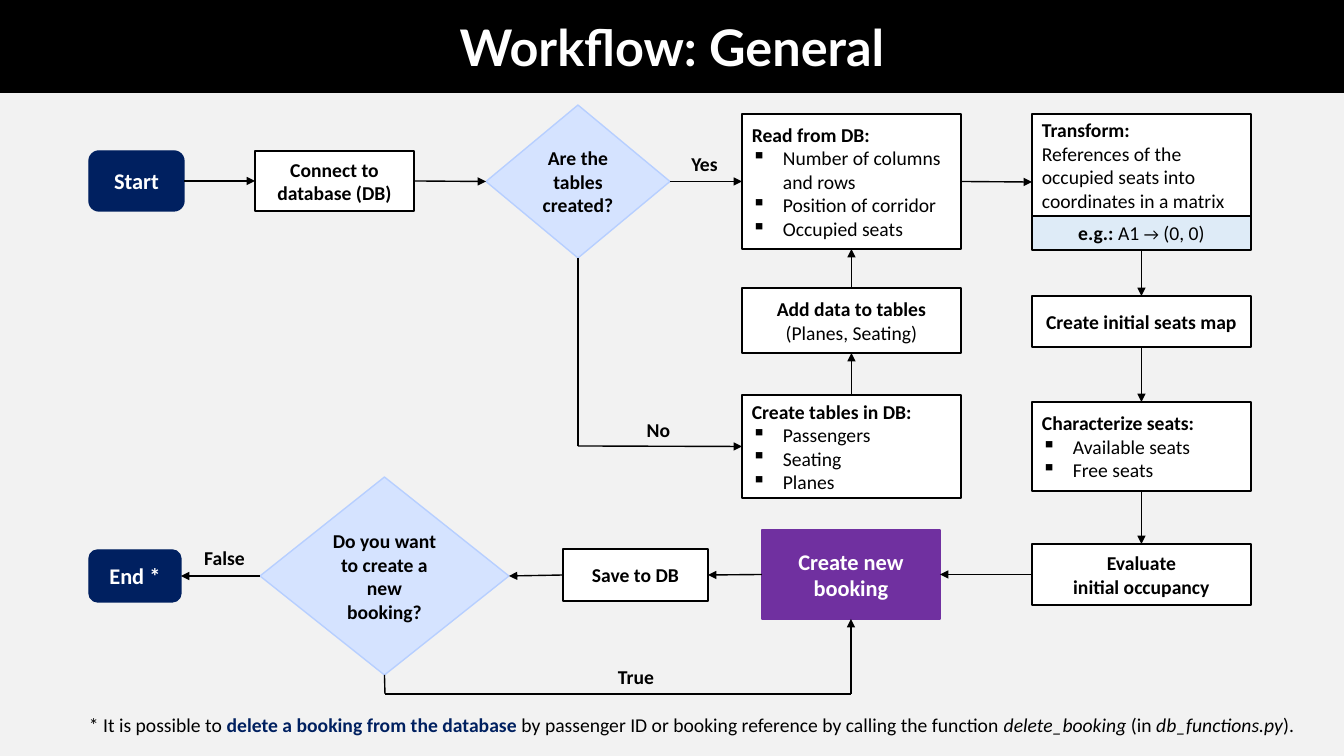
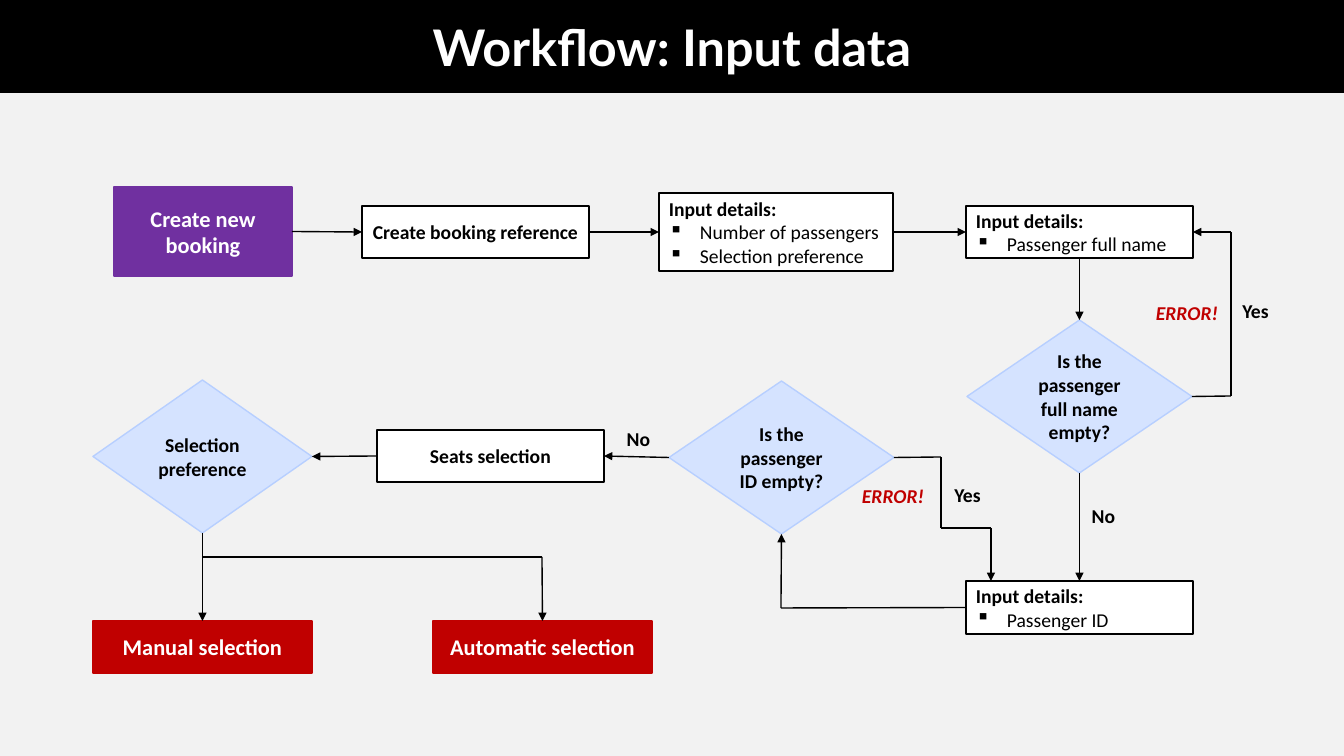
from lxml.etree import SubElement
from pptx import Presentation
from pptx.dml.color import RGBColor
from pptx.enum.shapes import MSO_CONNECTOR, MSO_SHAPE
from pptx.enum.text import MSO_ANCHOR, MSO_AUTO_SIZE, PP_ALIGN
from pptx.oxml.ns import qn
from pptx.util import Emu, Pt

WIDTH, HEIGHT = 1344, 756
SCALE = 12192000 / WIDTH
TITLE_HEIGHT = 93
BULLET_INDENT = 31

BACKGROUND, BLACK, WHITE = "F2F2F2", "000000", "FFFFFF"
NAVY, PURPLE, RED = "002060", "7030A0", "C00000"

RECT, ROUND, DIAMOND = MSO_SHAPE.RECTANGLE, MSO_SHAPE.ROUNDED_RECTANGLE, MSO_SHAPE.DIAMOND
LEFT, CENTER = PP_ALIGN.LEFT, PP_ALIGN.CENTER
LARGE = dict(size=16, color=WHITE)

STYLES = {
    "step": (RECT, WHITE, BLACK, {}),
    "list": (RECT, WHITE, BLACK, dict(align=LEFT)),
    "example": (RECT, "DEEBF7", BLACK, {}),
    "decision": (DIAMOND, "D5E3FF", "B7CFFF", {}),
    "terminal": (ROUND, NAVY, NAVY, LARGE),
    "booking": (RECT, PURPLE, PURPLE, LARGE),
    "outcome": (RECT, RED, RED, LARGE),
}
LABEL_STYLES = {
    "label": {},
    "error": dict(color=RED, italic=True, align=LEFT, wrap=False),
    "note": dict(bold=False, align=LEFT),
}
SITES = {"top": 0, "left": 1, "bottom": 2, "right": 3}
PLAIN = dict(bold=False)
ITALIC = dict(italic=True)

SLIDES = [
    {
        "title": "Workflow: General",
        "boxes": [
            ("start", "terminal", (89, 151, 95, 60), ["Start"]),
            ("connect", "step", (255, 151, 159, 60), ["Connect to database (DB)"]),
            ("created", "decision", (486, 105, 184, 153), ["Are the tables created?"]),
            ("read", "list", (742, 114, 219, 135), ["Read from DB:"],
             "Number of columns and rows", "Position of corridor", "Occupied seats"),
            ("transform", "list", (1032, 114, 219, 102),
             ["Transform:",
              [("References of the occupied seats into coordinates in a matrix", PLAIN)]]),
            ("example", "example", (1032, 216, 219, 34),
             [[("e.g.: ", {}), ("A1 ", PLAIN), ("→", dict(bold=False, size=12)),
               (" (0, 0)", PLAIN)]]),
            ("add", "step", (742, 288, 219, 65),
             [[("Add data to tables ", {}), ("(Planes, Seating)", PLAIN)]]),
            ("tables", "list", (742, 395, 219, 103), ["Create tables in DB:"],
             "Passengers", "Seating", "Planes"),
            ("map", "step", (1032, 296, 219, 51), ["Create initial seats map"]),
            ("seats", "list", (1032, 402, 219, 89), ["Characterize seats:"],
             "Available seats", "Free seats"),
            ("evaluate", "step", (1032, 544, 219, 61), ["Evaluate", "initial occupancy"]),
            ("booking", "booking", (762, 530, 178, 89), ["Create new booking"]),
            ("save", "step", (563, 549, 145, 52), ["Save to DB"]),
            ("another", "decision", (260, 477, 249, 198),
             ["Do you want to create a new booking?"]),
            ("end", "terminal", (89, 550, 92, 52), ["End *"]),
        ],
        "arrows": [
            [("start", "right"), ("connect", "left")],
            [("connect", "right"), ("created", "left")],
            [("created", "right"), ("read", "left")],
            [("created", "bottom"), (578, 446), ("tables", "left")],
            [("tables", "top"), ("add", "bottom")],
            [("add", "top"), ("read", "bottom")],
            [("read", "right"), (1032, 182)],
            [("example", "bottom"), ("map", "top")],
            [("map", "bottom"), ("seats", "top")],
            [("seats", "bottom"), ("evaluate", "top")],
            [("evaluate", "left"), ("booking", "right")],
            [("booking", "left"), ("save", "right")],
            [("save", "left"), ("another", "right")],
            [("another", "left"), ("end", "right")],
            [("another", "bottom"), (385, 694), (851, 694), ("booking", "bottom")],
        ],
        "labels": [
            ("label", (677, 147, 55, 34), ["Yes"]),
            ("label", (631, 413, 55, 34), ["No"]),
            ("label", (188, 541, 73, 34), ["False"]),
            ("label", (594, 660, 84, 34), ["True"]),
            ("note", (79, 708, 1231, 34),
             [[("* It is possible to ", {}),
               ("delete a booking from the database ", dict(color=NAVY, bold=True)),
               ("by passenger ID or booking reference by calling the function ", {}),
               ("delete_booking", ITALIC), (" (in ", {}),
               ("db_functions.py", ITALIC), (").", {})]]),
        ],
    },
    {
        "title": "Workflow: Input data",
        "boxes": [
            ("booking", "booking", (114, 187, 178, 89), ["Create new booking"]),
            ("reference", "step", (362, 206, 227, 52), ["Create booking reference"]),
            ("details", "list", (659, 193, 234, 78), ["Input details:"],
             "Number of passengers", "Selection preference"),
            ("name", "list", (966, 206, 227, 52), ["Input details:"], "Passenger full name"),
            ("no_name", "decision", (967, 320, 225, 153),
             ["Is the passenger full name empty?"]),
            ("id", "list", (966, 581, 227, 53), ["Input details:"], "Passenger ID"),
            ("no_id", "decision", (669, 381, 225, 153), ["Is the passenger ID empty?"]),
            ("seats", "step", (377, 430, 227, 52), ["Seats selection"]),
            ("preference", "decision", (93, 380, 219, 153), ["Selection preference"]),
            ("manual", "outcome", (93, 621, 219, 52), ["Manual selection"]),
            ("automatic", "outcome", (433, 621, 219, 52), ["Automatic selection"]),
        ],
        "arrows": [
            [("booking", "right"), ("reference", "left")],
            [("reference", "right"), ("details", "left")],
            [("details", "right"), ("name", "left")],
            [("name", "bottom"), ("no_name", "top")],
            [("no_name", "right"), (1231, 396), (1231, 232), ("name", "right")],
            [("no_name", "bottom"), ("id", "top")],
            [("id", "left"), (781, 608), ("no_id", "bottom")],
            [("no_id", "right"), (941, 457), (941, 528), (991, 528), (991, 581)],
            [("no_id", "left"), ("seats", "right")],
            [("seats", "left"), ("preference", "right")],
            [("preference", "bottom"), ("manual", "top")],
            [(202, 557), (542, 557), ("automatic", "top")],
        ],
        "labels": [
            ("label", (1076, 499, 55, 34), ["No"]),
            ("label", (1228, 294, 55, 34), ["Yes"]),
            ("error", (1146, 296, 83, 34), ["ERROR!"]),
            ("label", (611, 422, 55, 34), ["No"]),
            ("label", (940, 478, 55, 34), ["Yes"]),
            ("error", (852, 479, 83, 34), ["ERROR!"]),
        ],
    },
]


def px(n):
    return Emu(round(n * SCALE))


def rgb(value):
    return RGBColor.from_string(value)


def write(tf, paragraphs, bullets=(), size=14, color=BLACK, font="Calibri", bold=True,
          italic=False, align=CENTER, anchor=MSO_ANCHOR.MIDDLE, wrap=True):
    tf.word_wrap = wrap
    tf.vertical_anchor = anchor
    tf.auto_size = MSO_AUTO_SIZE.NONE
    base = dict(size=size, color=color, bold=bold, italic=italic)
    items = paragraphs + [[(bullet, PLAIN)] for bullet in bullets]
    for i, runs in enumerate(items):
        p = tf.add_paragraph() if i else tf.paragraphs[0]
        p.alignment = align
        if i >= len(paragraphs):
            pPr = p._p.get_or_add_pPr()
            pPr.set("marL", str(px(BULLET_INDENT)))
            pPr.set("indent", str(-px(BULLET_INDENT)))
            SubElement(pPr, qn("a:buChar")).set("char", "▪")
        for text, changes in [(runs, {})] if isinstance(runs, str) else runs:
            fmt = {**base, **changes}
            r = p.add_run()
            r.text = text
            r.font.name = font
            r.font.size = Pt(fmt["size"])
            r.font.bold = fmt["bold"]
            r.font.italic = fmt["italic"]
            r.font.color.rgb = rgb(fmt["color"])


def add_title(s, text):
    sp = s.shapes.title
    sp.left, sp.top, sp.width, sp.height = px(0), px(0), px(WIDTH), px(TITLE_HEIGHT)
    sp.fill.solid()
    sp.fill.fore_color.rgb = rgb(BLACK)
    write(sp.text_frame, [text], size=36, color=WHITE, font="Lato")


def add_box(s, style, box, paragraphs, bullets):
    shape, fill, line, fmt = STYLES[style]
    sp = s.shapes.add_shape(shape, *map(px, box))
    sp.shadow.inherit = False
    sp.fill.solid()
    sp.fill.fore_color.rgb = rgb(fill)
    sp.line.color.rgb = rgb(line)
    sp.line.width = Pt(1)
    write(sp.text_frame, paragraphs, bullets, **fmt)
    return sp


def add_label(s, style, box, paragraphs):
    sp = s.shapes.add_textbox(*map(px, box))
    write(sp.text_frame, paragraphs, anchor=MSO_ANCHOR.TOP, **LABEL_STYLES[style])


def locate(stop, boxes):
    if stop[0] not in boxes:
        return px(stop[0]), px(stop[1])
    sp, side = boxes[stop[0]], stop[1]
    across = {"left": 0, "right": sp.width}.get(side, sp.width // 2)
    down = {"top": 0, "bottom": sp.height}.get(side, sp.height // 2)
    return sp.left + across, sp.top + down


def add_arrow(s, stops, boxes):
    for begin, end in zip(stops, stops[1:]):
        line = s.shapes.add_connector(
            MSO_CONNECTOR.STRAIGHT, *locate(begin, boxes), *locate(end, boxes))
        if begin[0] in boxes:
            line.begin_connect(boxes[begin[0]], SITES[begin[1]])
        if end[0] in boxes:
            line.end_connect(boxes[end[0]], SITES[end[1]])
        line.line.color.rgb = rgb(BLACK)
        line.line.width = Pt(1)
        SubElement(line._element.spPr, qn("a:effectLst"))
    SubElement(line.line._get_or_add_ln(), qn("a:tailEnd")).set("type", "triangle")


def main():
    prs = Presentation()
    prs.slide_width, prs.slide_height = px(WIDTH), px(HEIGHT)
    background = prs.slide_master.background.fill
    background.solid()
    background.fore_color.rgb = rgb(BACKGROUND)
    for content in SLIDES:
        s = prs.slides.add_slide(prs.slide_layouts[5])
        add_title(s, content["title"])
        boxes = {name: add_box(s, style, box, paragraphs, bullets)
                 for name, style, box, paragraphs, *bullets in content["boxes"]}
        for stops in content["arrows"]:
            add_arrow(s, stops, boxes)
        for label in content["labels"]:
            add_label(s, *label)
    prs.save("out.pptx")


if __name__ == "__main__":
    main()
